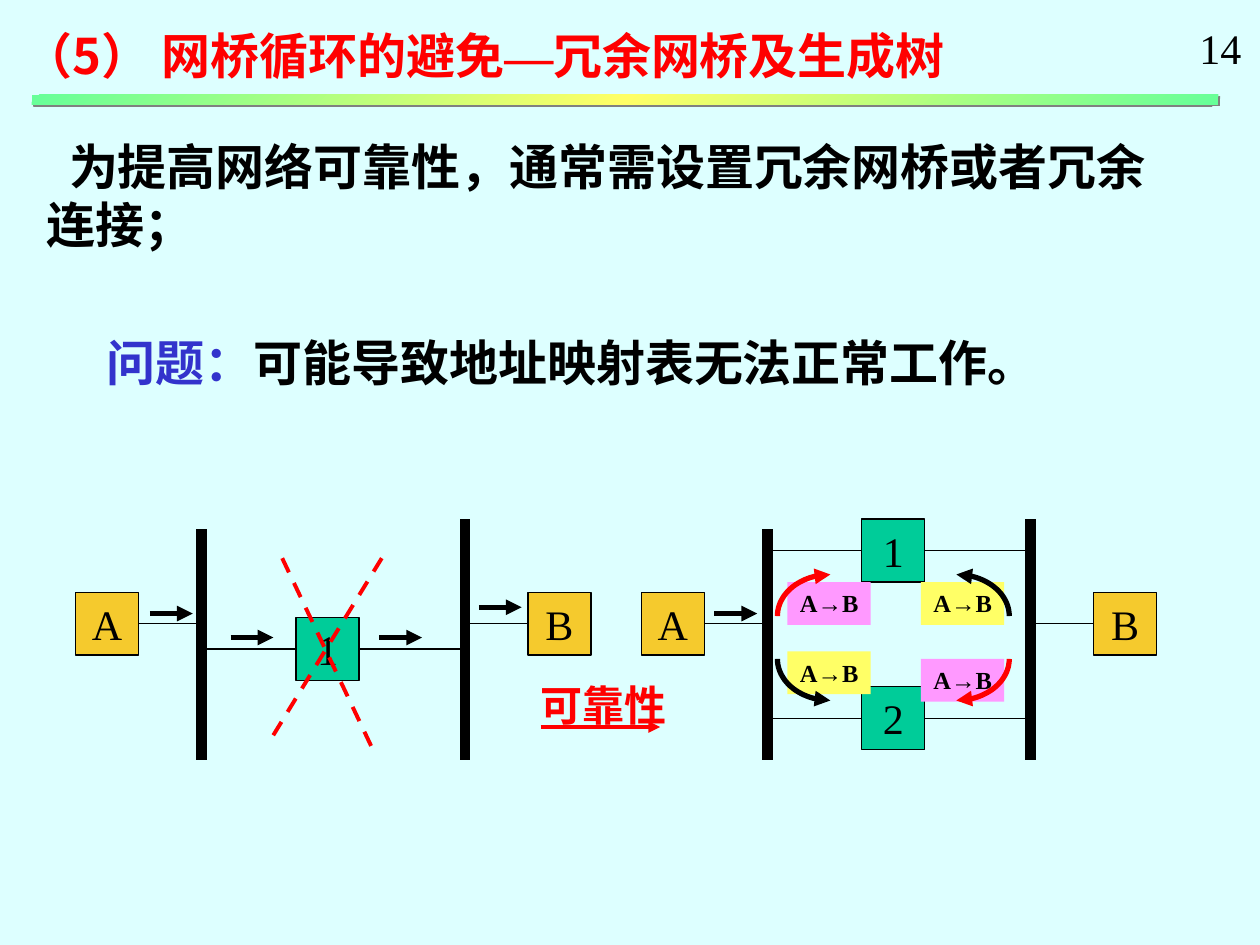
from copy import deepcopy
from math import cos, pi, sin
from typing import NamedTuple

from pptx import Presentation
from pptx.dml.color import RGBColor
from pptx.enum.dml import MSO_LINE
from pptx.enum.shapes import MSO_CONNECTOR, MSO_SHAPE
from pptx.enum.text import MSO_ANCHOR, MSO_AUTO_SIZE, PP_ALIGN
from pptx.oxml import parse_xml
from pptx.oxml.ns import nsdecls, qn
from pptx.util import Inches, Pt

SKY = RGBColor(0xDD, 0xFF, 0xFF)
BLACK = RGBColor(0, 0, 0)
RED = RGBColor(0xFF, 0, 0)
BLUE = RGBColor(0x33, 0x33, 0xCC)
TEAL = RGBColor(0, 0xCC, 0x99)
GOLD = RGBColor(0xF5, 0xCA, 0x2D)
PINK = RGBColor(0xFF, 0x99, 0xFF)
YELLOW = RGBColor(0xFF, 0xFF, 0x66)
MINT = RGBColor(0x66, 0xFF, 0x99)
CJK, SERIF = "Noto Sans CJK SC", "Times New Roman"
BOX = 0.5  # side of hosts and bridges


class Run(NamedTuple):
    text: str
    color: RGBColor = BLACK
    font: str = CJK


class Bridge(NamedTuple):
    name: str
    top: float


class Tag(NamedTuple):
    x: float
    y: float
    color: RGBColor


class Arc(NamedTuple):
    tip_x: float
    tip_y: float
    dx: int  # side on which the arc's other end lies
    dy: int
    color: RGBColor


class Arrow(NamedTuple):
    x: float
    y: float
    length: float = 0.34
    color: RGBColor = BLACK
    width: float = 3


def write(sp, runs: list[Run], size: float, bold: bool = False, wrap: bool = False):
    """Put one paragraph of formatted runs into a shape."""
    tf = sp.text_frame
    tf.word_wrap, tf.auto_size = wrap, MSO_AUTO_SIZE.NONE
    tf.vertical_anchor = MSO_ANCHOR.TOP
    tf.margin_left = tf.margin_right = Inches(0.1)
    tf.margin_top = tf.margin_bottom = Inches(0.05)
    p = tf.paragraphs[0]
    p.alignment = PP_ALIGN.LEFT
    for run in runs:
        r = p.add_run()
        r.text = run.text
        f = r.font
        f.size, f.bold, f.name = Pt(size), bold, run.font
        f.color.rgb = run.color
        r._r.rPr.find(qn("a:latin")).addnext(
            parse_xml(f'<a:ea {nsdecls("a")} typeface="{run.font}"/>'))
    return p


def heading(sp, runs: list[Run], size: float = 28, wrap: bool = True):
    """Bold Chinese text on a fixed line pitch."""
    p = write(sp, runs, size, bold=True, wrap=wrap)
    p.line_spacing = Pt(size * 1.2)
    sp.text_frame.margin_top = Inches(0.09)
    return p


def text_box(s, x: float, y: float, w: float, h: float):
    return s.shapes.add_textbox(Inches(x), Inches(y), Inches(w), Inches(h))


def rect(s, x: float, y: float, w: float, h: float):
    sp = s.shapes.add_shape(MSO_SHAPE.RECTANGLE, Inches(x), Inches(y), Inches(w), Inches(h))
    sp.shadow.inherit = False
    sp.line.fill.background()
    return sp


def node(s, name: str, x: float, y: float, color: RGBColor) -> None:
    sp = rect(s, x, y, BOX, BOX)
    sp.fill.solid()
    sp.fill.fore_color.rgb = color
    sp.line.color.rgb, sp.line.width = BLACK, Pt(0.75)
    write(sp, [Run(name, font=SERIF)], 24).alignment = PP_ALIGN.CENTER
    sp.text_frame.vertical_anchor = MSO_ANCHOR.MIDDLE


def line(s, x1: float, y1: float, x2: float, y2: float,
         color: RGBColor = BLACK, width: float = 0.75):
    c = s.shapes.add_connector(MSO_CONNECTOR.STRAIGHT, Inches(x1), Inches(y1),
                               Inches(x2), Inches(y2))
    c.line.color.rgb, c.line.width = color, Pt(width)
    c._element.spPr.append(parse_xml(f'<a:effectLst {nsdecls("a")}/>'))
    return c


def arrowhead(sp, end: str) -> None:
    sp.line._get_or_add_ln().append(
        parse_xml(f'<a:{end} {nsdecls("a")} type="triangle"/>'))


def arrow(s, a: Arrow) -> None:
    arrowhead(line(s, a.x, a.y, a.x + a.length, a.y, a.color, a.width), "tailEnd")


def quarter_arc(s, a: Arc, rx: float = 0.42, ry: float = 0.33, steps: int = 24) -> None:
    angles = [pi / 2 * i / steps for i in range(steps + 1)]
    pts = [(Inches(a.tip_x + a.dx * rx * sin(t)),
            Inches(a.tip_y + a.dy * ry * (1 - cos(t)))) for t in angles]
    fb = s.shapes.build_freeform(*pts[0])
    fb.add_line_segments(pts[1:], close=False)
    sp = fb.convert_to_shape()
    sp.shadow.inherit = False
    sp.fill.background()
    sp.line.color.rgb, sp.line.width = a.color, Pt(3)
    arrowhead(sp, "headEnd")


def network(s, x: float, bridges: list[Bridge]) -> None:
    """Hosts A and B on two buses joined by bridges."""
    bus_a, bridge_x, bus_b = x + 1, x + 1.75, x + 3.09
    host_y, half = 4.7, BOX / 2
    line(s, bus_a, 4.2, bus_a, 6.03, width=6)
    line(s, bus_b, 4.12, bus_b, 6.03, width=6)
    for b in bridges:
        node(s, b.name, bridge_x, b.top, TEAL)
        line(s, bus_a, b.top + half, bridge_x, b.top + half)
        line(s, bridge_x + BOX, b.top + half, bus_b, b.top + half)
    node(s, "A", x, host_y, GOLD)
    node(s, "B", bus_b + BOX, host_y, GOLD)
    line(s, x + BOX, host_y + half, bus_a, host_y + half)
    line(s, bus_b, host_y + half, bus_b + BOX, host_y + half)


def title_bar(s) -> None:
    sp = rect(s, 0.25, 0.75, 9.42, 0.08)
    sp.fill.gradient()
    sp.fill.gradient_angle = 315
    first = sp._element.spPr.find(".//" + qn("a:gs"))
    first.addnext(deepcopy(first))
    for stop, pos, color in zip(sp.fill.gradient_stops, (0, 0.5, 1), (MINT, YELLOW, MINT)):
        stop.position, stop.color.rgb = pos, color
    sp._element.spPr.find(qn("a:effectLst")).append(parse_xml(
        f'<a:outerShdw {nsdecls("a")} dist="17780" dir="2700000" algn="ctr" '
        'rotWithShape="0"><a:srgbClr val="808080"/></a:outerShdw>'))


def main() -> None:
    prs = Presentation()
    prs.slide_width, prs.slide_height = Inches(10), Inches(7.5)
    s = prs.slides.add_slide(prs.slide_layouts[5])
    s.background.fill.solid()
    s.background.fill.fore_color.rgb = SKY

    # Title, page number and bar
    title = s.shapes.title
    title.left, title.top = Inches(0.09), Inches(0.11)
    title.width, title.height = Inches(7.75), Inches(0.57)
    heading(title, [Run("（5） 网桥循环的避免", RED), Run("—", RED, SERIF),
                    Run("冗余网桥及生成树", RED)])
    write(text_box(s, 9.42, 0.13, 0.53, 0.5), [Run("14", font=SERIF)], 24)
    title_bar(s)

    # Body text
    p = heading(text_box(s, 0.27, 0.99, 9.17, 1.04),
                [Run("为提高网络可靠性，通常需设置冗余网桥或者冗余连接；")])
    p._p.get_or_add_pPr().set("indent", str(Inches(0.18)))
    heading(text_box(s, 0.75, 2.55, 8.69, 0.57),
            [Run("问题：", BLUE), Run("可能导致地址映射表无法正常工作。")])

    # Single bridge on the left, redundant bridges on the right
    network(s, 0.6, [Bridge("1", 4.9)])
    network(s, 5.09, [Bridge("1", 4.12), Bridge("2", 5.45)])

    # Frames circling between the two bridges
    for t in (Tag(7.31, 5.23, PINK), Tag(6.25, 4.62, PINK),
              Tag(7.31, 4.62, YELLOW), Tag(6.25, 5.17, YELLOW)):
        sp = rect(s, t.x, t.y, 0.66, 0.34)
        sp.fill.solid()
        sp.fill.fore_color.rgb = t.color
        write(sp, [Run("A→B", font=SERIF)], 14, bold=True)
    for a in (Arc(7.59, 5.56, 1, -1, RED), Arc(7.59, 4.56, 1, 1, BLACK),
              Arc(6.59, 4.56, -1, 1, RED), Arc(6.59, 5.56, -1, -1, BLACK)):
        quarter_arc(s, a)

    # Failed bridge and direction of travel
    for x1, x2, y2 in ((2.24, 2.95, 5.93), (3.03, 2.16, 5.85)):
        line(s, x1, 4.43, x2, y2, RED, 2.25).line.dash_style = MSO_LINE.DASH
    heading(text_box(s, 4.19, 5.3, 1.2, 0.5), [Run("可靠性", RED)], 24, wrap=False)
    for a in (Arrow(1.19, 4.87), Arrow(1.83, 5.06), Arrow(3.01, 5.06), Arrow(3.8, 4.82),
              Arrow(5.67, 4.87), Arrow(4.29, 5.77, 0.95, RED, 2.25)):
        arrow(s, a)

    prs.save("out.pptx")


if __name__ == "__main__":
    main()
